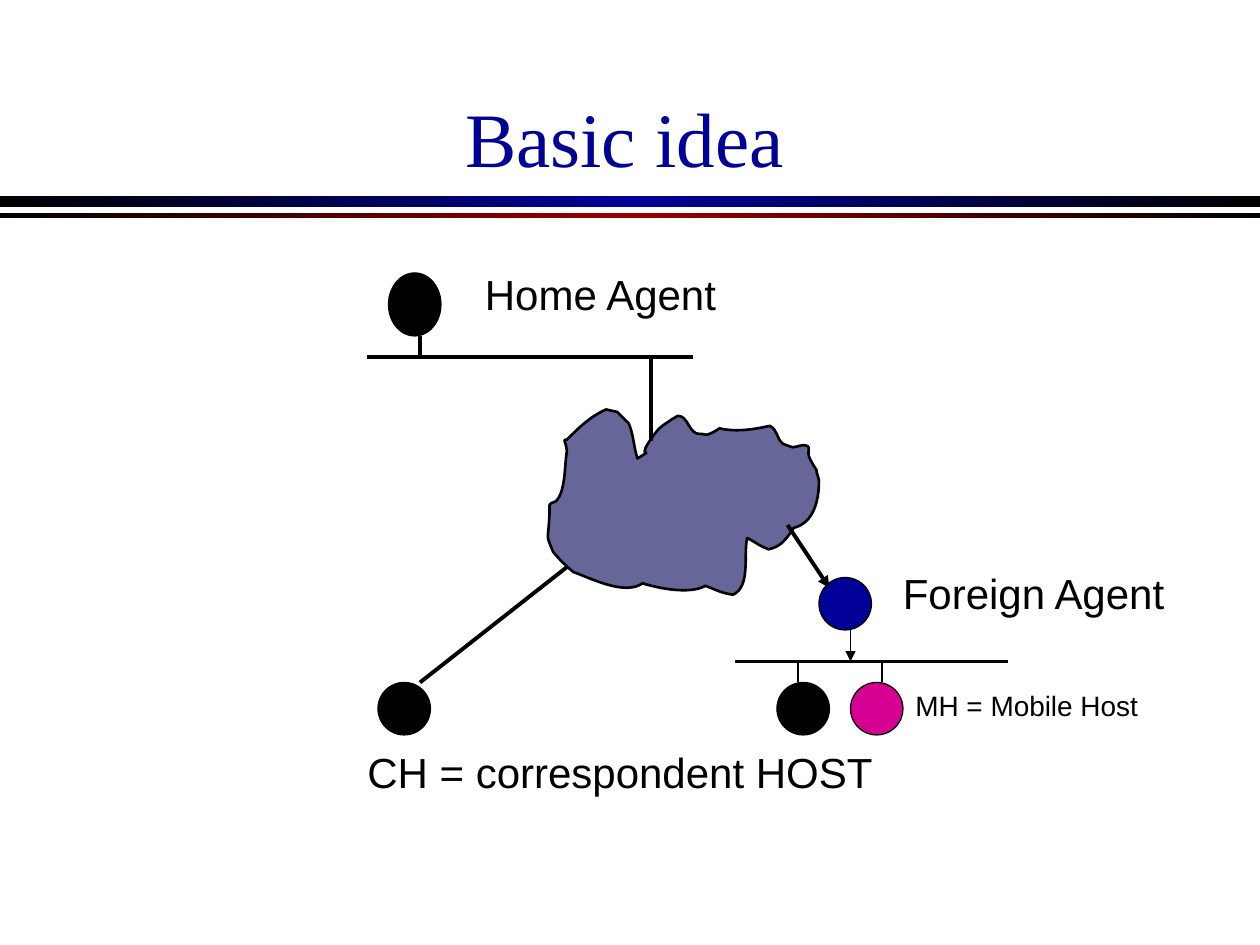
import copy
from typing import NamedTuple

import pptx
import pptx.dml.color
import pptx.enum.shapes
import pptx.enum.text
import pptx.oxml.ns
import pptx.util
from lxml import etree

EMU_PER_PX = 7620  # 120 px to the inch

RGBColor = pptx.dml.color.RGBColor
BLACK = RGBColor(0x00, 0x00, 0x00)
NAVY = RGBColor(0x00, 0x00, 0x99)
RED = RGBColor(0x99, 0x00, 0x00)
PINK = RGBColor(0xD6, 0x00, 0x93)
SLATE = RGBColor(0x66, 0x66, 0x99)

THIN, THICK = 0.75, 2.25


class Band(NamedTuple):
    top: int
    height: int
    middle: RGBColor


class Node(NamedTuple):
    left: int
    top: int
    color: RGBColor
    height: int = 50
    width: int = 50


class Link(NamedTuple):
    x1: int
    y1: int
    x2: int
    y2: int
    weight: float = THICK
    arrow: bool = False


class Label(NamedTuple):
    text: str
    left: int
    top: int
    width: int
    height: int
    size: int = 24
    font: str = "Arial"
    color: RGBColor = BLACK


BANDS = [Band(187, 10, NAVY), Band(203, 5, RED)]

# Cloud outline on its own grid: a start point, then two controls and an end
# for each curve
CLOUD_GRID_PX = 1.2
CLOUD_START = (450, 349)
CLOUD_CURVES = [
    (460, 339, 468, 331, 481, 325), (484, 326, 487, 326, 490, 327),
    (493, 330, 499, 336, 499, 336), (503, 345, 503, 355, 506, 364),
    (523, 353, 501, 369, 520, 344), (523, 339, 529, 336, 533, 333),
    (535, 332, 538, 330, 538, 330), (546, 331, 545, 338, 551, 343),
    (553, 345, 557, 344, 560, 345), (561, 345, 563, 345, 564, 344),
    (567, 343, 571, 340, 571, 340), (584, 343, 598, 341, 611, 338),
    (617, 341, 616, 347, 621, 352), (623, 353, 626, 354, 629, 355),
    (633, 355, 637, 352, 641, 354), (643, 355, 641, 359, 642, 362),
    (643, 365, 646, 370, 648, 373), (648, 376, 650, 379, 650, 382),
    (650, 397, 646, 415, 630, 419), (624, 428, 620, 434, 610, 436),
    (604, 434, 599, 430, 593, 427), (590, 441, 596, 465, 582, 472),
    (573, 471, 568, 468, 560, 465), (547, 472, 523, 467, 510, 463),
    (496, 473, 469, 459, 455, 454), (447, 447, 445, 445, 439, 438),
    (433, 423, 435, 431, 436, 410), (437, 398, 434, 401, 441, 398),
    (449, 391, 448, 370, 450, 358), (449, 349, 446, 349, 450, 349),
]

HOSTS = [
    Node(370, 260, BLACK, height=60),  # home agent
    Node(740, 650, BLACK),
    Node(810, 650, PINK),  # mobile host
    Node(360, 650, BLACK),  # correspondent host
]
FOREIGN_AGENT = Node(780, 550, NAVY)

NETWORK_LINKS = [
    Link(400, 650, 540, 540),
    Link(350, 340, 660, 340),  # home network
    Link(400, 320, 400, 340),
    Link(620, 340, 620, 420),
    Link(700, 630, 960, 630),  # foreign network
    Link(760, 650, 760, 630, THIN),
    Link(840, 650, 840, 630, THIN),
]
FORWARDING_LINKS = [
    Link(750, 500, 790, 560, arrow=True),
    Link(810, 600, 810, 630, THIN, arrow=True),
]

TITLE = Label("Basic idea", 80, 30, 1030, 150, 44, "Times New Roman", NAVY)
LABELS = [
    Label("CH = correspondent HOST", 338, 705, 505, 60),
    Label("MH = Mobile Host", 860, 650, 237, 44, size=16),
    Label("Foreign Agent", 848, 535, 275, 60),
    Label("Home Agent", 450, 250, 246, 60),
]


def px(length: float) -> int:
    return round(length * EMU_PER_PX)


def draw_band(slide, band: Band) -> None:
    bar = slide.shapes.add_shape(
        pptx.enum.shapes.MSO_SHAPE.RECTANGLE, 0, px(band.top), px(1200), px(band.height))
    bar.shadow.inherit = False
    bar.line.fill.background()
    bar.fill.gradient()
    bar.fill.gradient_angle = 180
    # The default gradient has two stops; add one between them
    first_stop = bar._element.spPr.find(".//" + pptx.oxml.ns.qn("a:gs"))
    first_stop.addnext(copy.deepcopy(first_stop))
    stops = zip(bar.fill.gradient_stops, (0, 0.5, 1), (BLACK, band.middle, BLACK))
    for stop, position, color in stops:
        stop.position = position
        stop.color.rgb = color


def paint(shape, fill: RGBColor, weight: float) -> None:
    shape.shadow.inherit = False
    shape.fill.solid()
    shape.fill.fore_color.rgb = fill
    shape.line.color.rgb = BLACK
    shape.line.width = pptx.util.Pt(weight)


def draw_cloud(slide) -> None:
    def points(values: tuple[int, ...]) -> list[tuple[int, int]]:
        lengths = [px(value * CLOUD_GRID_PX) for value in values]
        return list(zip(lengths[::2], lengths[1::2]))

    curves = [points(curve) for curve in CLOUD_CURVES]
    builder = slide.shapes.build_freeform(*points(CLOUD_START)[0])
    builder.add_line_segments([curve[-1] for curve in curves], close=True)
    cloud = builder.convert_to_shape()
    paint(cloud, SLATE, 1.5)
    # Bend each straight segment into its curve
    segments = cloud._element.spPr.findall(".//" + pptx.oxml.ns.qn("a:lnTo"))
    for segment, curve in zip(segments, curves):
        segment.tag = pptx.oxml.ns.qn("a:cubicBezTo")
        segment.clear()
        for x, y in curve:
            etree.SubElement(segment, pptx.oxml.ns.qn("a:pt"),
                             x=str(x - cloud.left), y=str(y - cloud.top))


def draw_node(slide, node: Node) -> None:
    circle = slide.shapes.add_shape(
        pptx.enum.shapes.MSO_SHAPE.OVAL,
        px(node.left), px(node.top), px(node.width), px(node.height))
    paint(circle, node.color, THIN)


def draw_link(slide, link: Link) -> None:
    connector = slide.shapes.add_connector(
        pptx.enum.shapes.MSO_CONNECTOR.STRAIGHT,
        px(link.x1), px(link.y1), px(link.x2), px(link.y2))
    connector.line.color.rgb = BLACK
    connector.line.width = pptx.util.Pt(link.weight)
    properties = connector._element.spPr
    if link.arrow:
        outline = properties.find(pptx.oxml.ns.qn("a:ln"))
        etree.SubElement(outline, pptx.oxml.ns.qn("a:tailEnd"), type="triangle")
    etree.SubElement(properties, pptx.oxml.ns.qn("a:effectLst"))


def draw_label(slide, label: Label):
    box = slide.shapes.add_textbox(
        px(label.left), px(label.top), px(label.width), px(label.height))
    frame = box.text_frame
    frame.word_wrap = False
    frame.text = label.text
    font = frame.paragraphs[0].runs[0].font
    font.name = label.font
    font.size = pptx.util.Pt(label.size)
    font.color.rgb = label.color
    return frame


def main() -> None:
    deck = pptx.Presentation()
    deck.slide_width, deck.slide_height = px(1200), px(900)
    slide = deck.slides.add_slide(deck.slide_layouts[6])

    # Heading
    for band in BANDS:
        draw_band(slide, band)
    heading = draw_label(slide, TITLE)
    heading.word_wrap = True
    heading.vertical_anchor = pptx.enum.text.MSO_ANCHOR.BOTTOM
    heading.paragraphs[0].alignment = pptx.enum.text.PP_ALIGN.CENTER

    # Network diagram, from back to front
    draw_cloud(slide)
    for host in HOSTS:
        draw_node(slide, host)
    for link in NETWORK_LINKS:
        draw_link(slide, link)
    draw_node(slide, FOREIGN_AGENT)
    for link in FORWARDING_LINKS:
        draw_link(slide, link)
    for label in LABELS:
        frame = draw_label(slide, label)
        frame.auto_size = pptx.enum.text.MSO_AUTO_SIZE.SHAPE_TO_FIT_TEXT

    deck.save("out.pptx")


if __name__ == "__main__":
    main()
